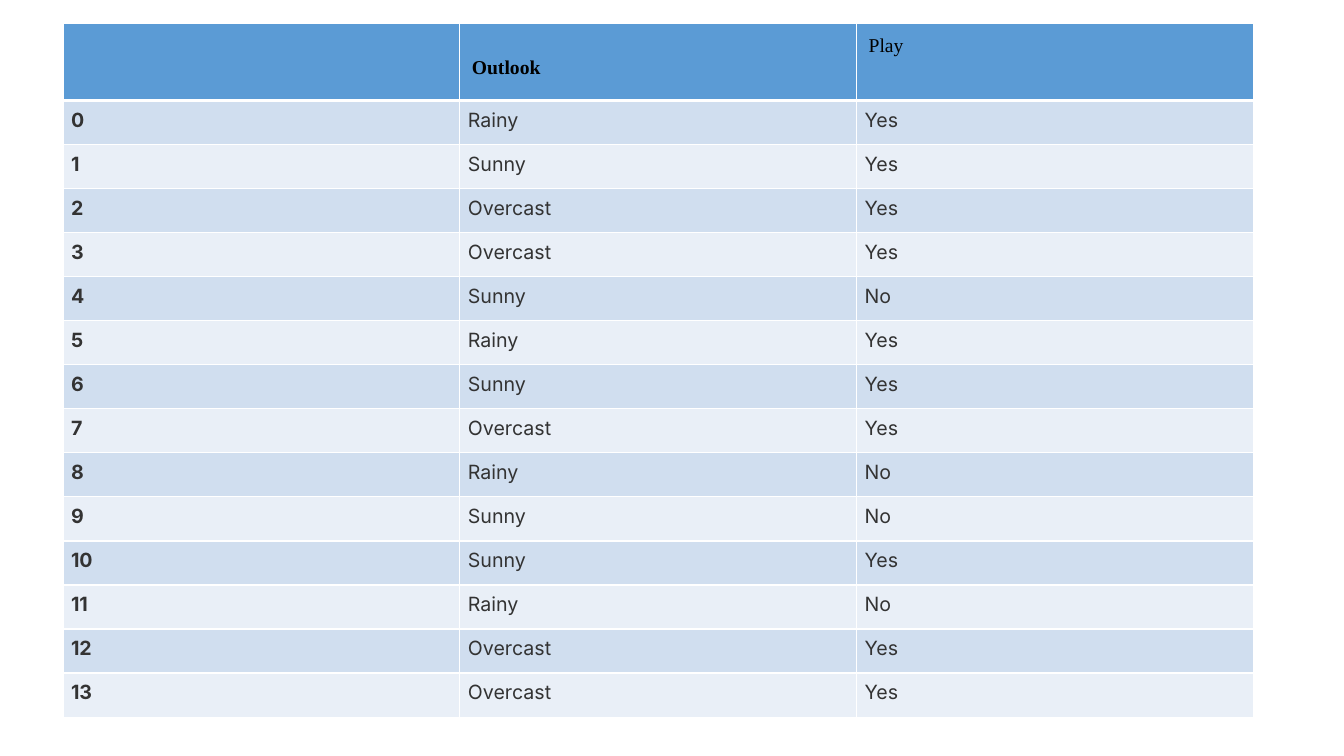
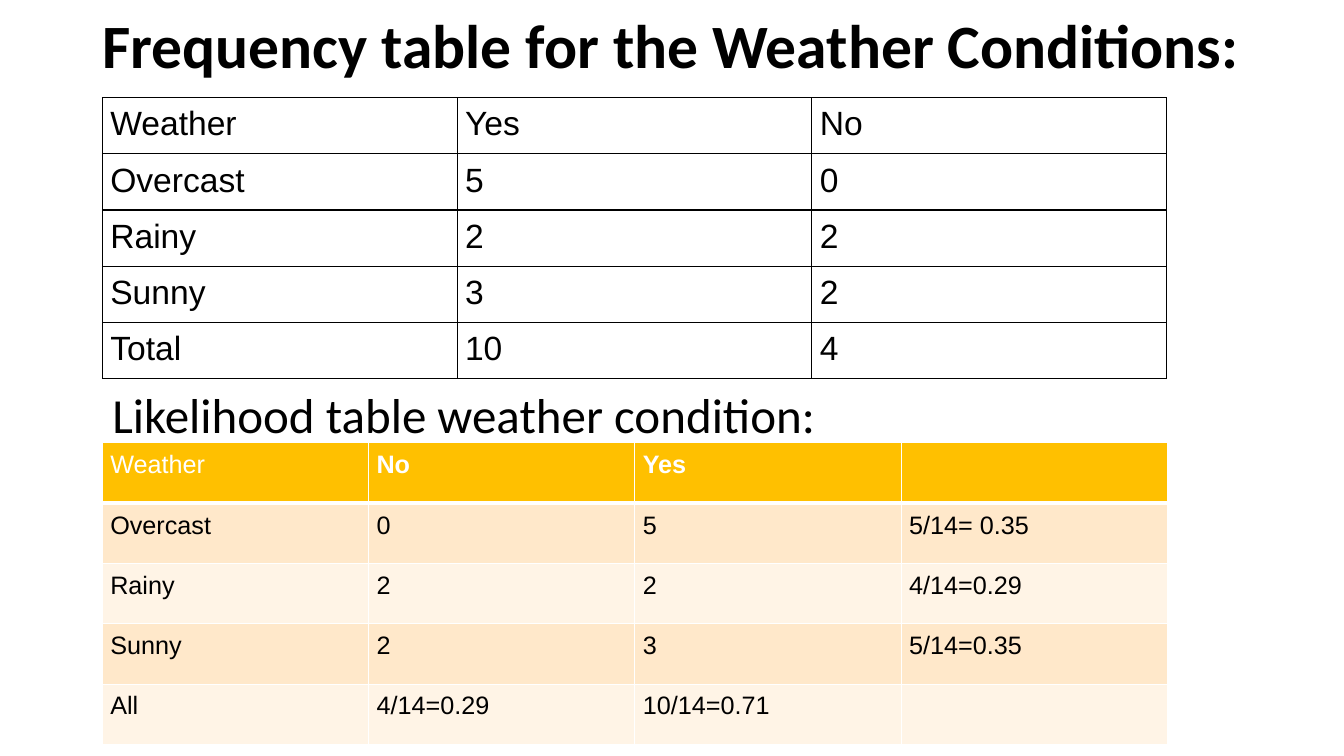
from lxml import etree
from pptx import Presentation
from pptx.dml.color import RGBColor
from pptx.enum.text import MSO_ANCHOR, PP_ALIGN
from pptx.oxml.ns import qn
from pptx.util import Cm, Pt

JUSTIFY, LEFT = PP_ALIGN.JUSTIFY, PP_ALIGN.LEFT
MIDDLE = MSO_ANCHOR.MIDDLE

COLORS = {
    "white": "FFFFFF", "black": "000000", "ink": "333333",
    "blue": "5B9BD5", "blue_dark": "D0DEEF", "blue_light": "E9EFF7",
    "amber": "FFC000", "amber_dark": "FFE8CA", "amber_light": "FFF4E6",
}

OUTLOOK = ["Rainy", "Sunny", "Overcast", "Overcast", "Sunny", "Rainy", "Sunny",
           "Overcast", "Rainy", "Sunny", "Sunny", "Rainy", "Overcast", "Overcast"]
PLAY = ["Yes", "Yes", "Yes", "Yes", "No", "Yes", "Yes",
        "Yes", "No", "No", "Yes", "No", "Yes", "Yes"]
OBSERVATIONS = [("", "Outlook", "Play")] + [
    (str(i), *day) for i, day in enumerate(zip(OUTLOOK, PLAY))]

FREQUENCY = [
    ("Weather", "Yes", "No"),
    ("Overcast", "5", "0"),
    ("Rainy", "2", "2"),
    ("Sunny", "3", "2"),
    ("Total", "10", "4"),
]
LIKELIHOOD = [
    ("Weather", "No", "Yes", ""),
    ("Overcast", "0", "5", "5/14= 0.35"),
    ("Rainy", "2", "2", "4/14=0.29"),
    ("Sunny", "2", "3", "5/14=0.35"),
    ("All", "4/14=0.29", "10/14=0.71", ""),
]

# Positions in cm: left, top, column width, header height, row height
BLUE_TABLE = {
    "box": (1.59, 0.58, 10, 1.95, 1.11), "border": "white", "header_line": 3,
    "fills": ("blue", "blue_dark", "blue_light"),
    "font": {"name": "Inter", "size": 14, "color": "ink"},
    "header_font": {"name": "Times New Roman", "color": "black"},
    "bold": lambda row, col: col == (1 if row == 0 else 0),
}
PLAIN_TABLE = {
    "box": (2.58, 2.46, 8.94, 1.37, 1.37), "border": "black", "header_line": 1,
    "fills": None,
    "font": {"name": "Arial", "size": 24, "color": "black"},
    "header_font": {},
    "bold": lambda row, col: False,
}
AMBER_TABLE = {
    "box": (2.58, 11.16, 6.71, 1.52, 1.52), "border": "white", "header_line": 3,
    "fills": ("amber", "amber_dark", "amber_light"),
    "font": {"name": "Arial", "size": 18, "color": "black"},
    "header_font": {"color": "white"},
    "bold": lambda row, col: row == 0 and col > 0,
}


def rgb(name):
    return RGBColor.from_string(COLORS[name])


def write(p, text, align, name, size, color, bold=False):
    p.alignment = align
    r = p.add_run()
    r.text = text
    r.font.color.rgb = rgb(color)
    for key, value in {"name": name, "size": Pt(size), "bold": bold}.items():
        setattr(r.font, key, value)


def set_borders(cell, color, widths):
    """Draw the left, right, top and bottom lines, with widths in points."""
    tc_pr = cell._tc.get_or_add_tcPr()
    for side, width in zip("LRTB", widths):
        ln = etree.SubElement(tc_pr, qn(f"a:ln{side}"), w=str(Pt(width)))
        fill = etree.SubElement(ln, qn("a:solidFill"))
        etree.SubElement(fill, qn("a:srgbClr"), val=COLORS[color])


def set_margins(cell, margin, top=None):
    for side in ("left", "right", "top", "bottom"):
        setattr(cell, f"margin_{side}", Cm(margin))
    if top is not None:
        cell.margin_top = Cm(top)


def add_grid(s, rows, style):
    left, top, col_w, head_h, row_h = style["box"]
    n_rows, n_cols = len(rows), len(rows[0])
    height = head_h + row_h * (n_rows - 1)
    table = s.shapes.add_table(n_rows, n_cols, Cm(left), Cm(top),
                               Cm(col_w * n_cols), Cm(height)).table
    table.first_row = table.horz_banding = False
    for column in table.columns:
        column.width = Cm(col_w)
    for i, values in enumerate(rows):
        table.rows[i].height = Cm(row_h if i else head_h)
        font = style["font"] if i else {**style["font"], **style["header_font"]}
        line_above = style["header_line"] if i == 1 else 1
        line_below = style["header_line"] if i == 0 else 1
        for j, text in enumerate(values):
            cell = table.cell(i, j)
            set_margins(cell, 0.2)
            set_borders(cell, style["border"], (1, 1, line_above, line_below))
            if style["fills"]:
                head, odd, even = style["fills"]
                cell.fill.solid()
                cell.fill.fore_color.rgb = rgb(head if i == 0 else odd if i % 2 else even)
            else:
                cell.fill.background()
            if text:
                write(cell.text_frame.paragraphs[0], text, JUSTIFY,
                      bold=style["bold"](i, j), **font)
    return table


def add_title(s, text, left, top, height, size, bold=False):
    tf = s.shapes.add_textbox(Cm(left), Cm(top), Cm(29.7), Cm(height)).text_frame
    tf.word_wrap = True
    tf.vertical_anchor = MIDDLE
    p = tf.paragraphs[0]
    p.line_spacing = 0.9
    write(p, text, LEFT, "Calibri", size, "black", bold)


def main():
    prs = Presentation()
    prs.slide_width, prs.slide_height = Cm(33.87), Cm(19.05)
    blank = prs.slide_layouts[6]

    s = prs.slides.add_slide(blank)
    table = add_grid(s, OBSERVATIONS, BLUE_TABLE)
    set_margins(table.cell(0, 1), 0.3, top=0.85)
    set_margins(table.cell(0, 2), 0.3)

    s = prs.slides.add_slide(blank)
    add_title(s, "Frequency table for the Weather Conditions:", 2.33, 0, 2.46, 44, bold=True)
    add_grid(s, FREQUENCY, PLAIN_TABLE)
    add_title(s, "Likelihood table weather condition:", 2.58, 9.65, 1.75, 35)
    add_grid(s, LIKELIHOOD, AMBER_TABLE)

    prs.save("out.pptx")


if __name__ == "__main__":
    main()
